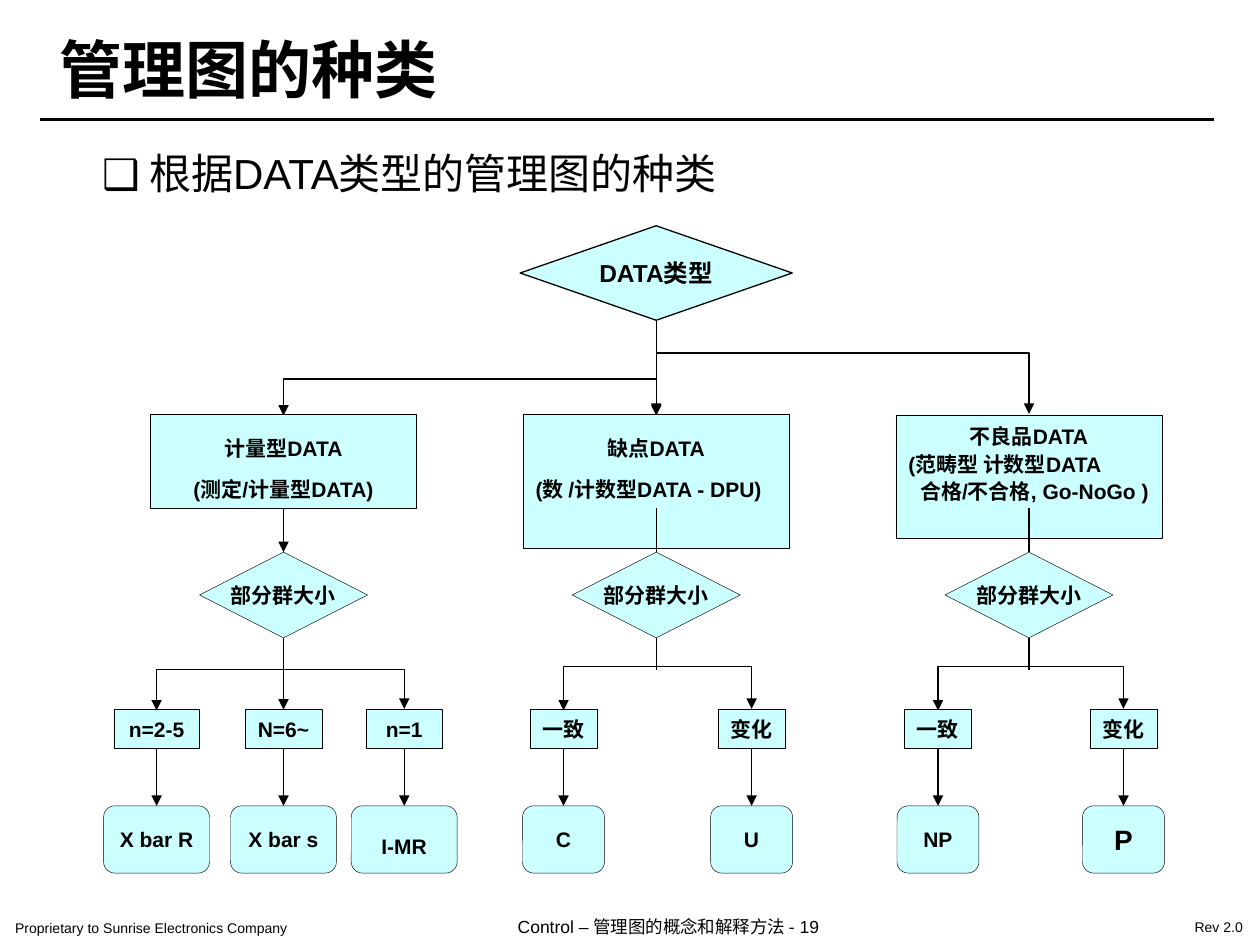
from collections import namedtuple

from lxml.etree import SubElement
from pptx import Presentation
from pptx.dml.color import RGBColor
from pptx.enum.shapes import MSO_CONNECTOR as Link, MSO_SHAPE as Shape
from pptx.enum.text import MSO_ANCHOR as Anchor, MSO_AUTO_SIZE as AutoSize, PP_ALIGN as Align
from pptx.oxml.ns import qn
from pptx.util import Pt

BLACK = RGBColor(0x00, 0x00, 0x00)
PALE_CYAN = RGBColor(0xCC, 0xFF, 0xFF)
FONT = "Arial"

Box = namedtuple("Box", "left top width height")
Leaf = namedtuple("Leaf", "offset condition condition_width chart size drop", defaults=(12, 0))


def centred_box(axis, top, width, height):
    return Box(axis - width / 2, top, width, height)


def set_frame(frame, anchor, wrap, inset_x=7.2, inset_y=3.6):
    frame.auto_size = AutoSize.NONE
    frame.word_wrap = wrap
    frame.vertical_anchor = anchor
    frame.margin_left = frame.margin_right = Pt(inset_x)
    frame.margin_top = frame.margin_bottom = Pt(inset_y)


def write(para, text, size, bold=False, align=Align.LEFT):
    para.alignment = align
    span = para.add_run()
    span.text = text
    font = span.font
    font.name, font.size, font.bold = FONT, Pt(size), bold
    font.color.rgb = BLACK


def add_node(page, kind, box, line_width=0.25, wrap=False):
    node = page.shapes.add_shape(kind, *map(Pt, box))
    node.shadow.inherit = False
    node.fill.solid()
    node.fill.fore_color.rgb = PALE_CYAN
    node.line.color.rgb = BLACK
    node.line.width = Pt(line_width)
    set_frame(node.text_frame, Anchor.MIDDLE, wrap)
    return node


def add_label_node(page, kind, box, text, size=12, line_width=0.25):
    node = add_node(page, kind, box, line_width)
    write(node.text_frame.paragraphs[0], text, size, True, Align.CENTER)
    return node


def style_link(link, width, arrow_ends):
    link.line.color.rgb = BLACK
    link.line.width = Pt(width)
    properties = link._element.spPr
    for end in arrow_ends:
        SubElement(properties.find(qn("a:ln")), qn(f"a:{end}"), type="triangle")
    SubElement(properties, qn("a:effectLst"))


def add_line(page, start, end, width=0.75, arrow=False):
    link = page.shapes.add_connector(Link.STRAIGHT, *map(Pt, start + end))
    style_link(link, width, ["tailEnd"] if arrow else [])


def add_bracket(page, left, right, base, rise):
    """Join two points on one level by a link that rises above them, with arrows down."""
    middle, half = (left + right) / 2, (right - left) / 2
    link = page.shapes.add_connector(
        Link.ELBOW, Pt(middle - 0.5), Pt(base - half), Pt(middle + 0.5), Pt(base + half))
    link.rotation = 90 if hasattr(link, "rotation") else None
    properties = link._element.spPr
    properties.find(qn("a:xfrm")).set("rot", "5400000")
    guides = properties.find(qn("a:prstGeom")).get_or_add_avLst()
    # The turned box is one point deep, so the guide is the rise in 1/100000 points.
    SubElement(guides, qn("a:gd"), name="adj1", fmla=f"val {round(-rise * 100000)}")
    style_link(link, 0.75, ["headEnd", "tailEnd"])


def fill_placeholder(holder, box, text, size, bold, align, anchor):
    holder.left, holder.top, holder.width, holder.height = map(Pt, box)
    set_frame(holder.text_frame, anchor, False)
    para = holder.text_frame.paragraphs[0]
    properties = para._p.get_or_add_pPr()
    properties.set("marL", "0")
    properties.set("indent", "0")
    SubElement(properties, qn("a:buNone"))
    para.space_before = Pt(0)
    write(para, text, size, bold, align)


def add_heading(page, box):
    fill_placeholder(page.shapes.title, Box(box.left + 3.6, box.top, 238, 50.4),
                     "管理图的种类", 36, True, Align.LEFT, Anchor.TOP)
    rule = box.top + 54.7
    add_line(page, (box.left, rule), (box.left + box.width, rule), 1.5)
    fill_placeholder(page.placeholders[1], Box(box.left + 20.2, box.top + 67, 381.6, 36),
                     "❑ 根据DATA类型的管理图的种类", 24, False, Align.CENTER, Anchor.MIDDLE)


def add_footer(page, box):
    for left, top, width, text, size in (
            (0, 2.2, 231, "Proprietary to Sunrise Electronics Company", 8),
            (287.3, 0, 230, "Control – 管理图的概念和解释方法 - 19", 10),
            (674, 1.4, 45.5, "Rev 2.0", 8)):
        label = page.shapes.add_textbox(
            Pt(box.left + left), Pt(box.top + top), Pt(width), Pt(box.height - top))
        set_frame(label.text_frame, Anchor.TOP, False, 8.6, 4.3)
        write(label.text_frame.paragraphs[0], text, size)


def add_data_box(page, box, lines, spacing):
    """Each line is a text, its alignment and its first-line indent."""
    node = add_node(page, Shape.RECTANGLE, box, wrap=True)
    frame = node.text_frame
    frame.vertical_anchor = Anchor.TOP
    for index, (text, align, indent) in enumerate(lines):
        para = frame.add_paragraph() if index else frame.paragraphs[0]
        para._p.get_or_add_pPr().set("indent", str(Pt(indent)))
        para.line_spacing = spacing
        write(para, text, 12, True, align)


def add_leaf(page, axis, top, leaf, chart_width):
    centre = axis + leaf.offset
    add_label_node(page, Shape.RECTANGLE,
                   centred_box(centre, top, leaf.condition_width, 21.9), leaf.condition)
    add_line(page, (centre, top + 22), (centre, top + 55), arrow=True)
    chart = add_label_node(page, Shape.ROUNDED_RECTANGLE,
                           centred_box(centre, top + 55, chart_width, 38.4), leaf.chart, leaf.size)
    chart.text_frame.margin_top = Pt(3.6 + leaf.drop)


def add_branch(page, box, data_height, lines, spacing, leaves, chart_width, through):
    """Draw one data type; with through, its stem runs on to a leaf below the axis."""
    axis = box.left + box.width / 2
    diamond, leaf_top = box.top + 78.5, box.top + 168.5
    add_data_box(page, Box(box.left, box.top, box.width, data_height), lines, spacing)
    add_line(page, (axis, box.top + 53.5), (axis, diamond), arrow=through)
    add_label_node(page, Shape.DIAMOND, centred_box(axis, diamond, 96, 49), "部分群大小")
    stem_end = leaf_top if through else leaf_top - 22.5
    add_line(page, (axis, diamond + 49), (axis, stem_end), arrow=through)
    add_bracket(page, axis + leaves[0].offset, axis + leaves[-1].offset, leaf_top,
                22.5 if through else 24.5)
    for leaf in leaves:
        add_leaf(page, axis, leaf_top, leaf, chart_width)


def add_tree(page, box):
    centre, step = box.left + box.width / 2, 213
    branch_top = box.top + 108
    add_label_node(page, Shape.DIAMOND, centred_box(centre, box.top, 155.5, 54),
                   "DATA类型", 14, 0.75)
    add_line(page, (centre, box.top + 54), (centre, branch_top))
    add_bracket(page, centre - step, centre, branch_top, 20)
    add_bracket(page, centre, centre + step, branch_top, 35)
    branches = (
        (53.3, [("计量型DATA", Align.CENTER, 0), ("(测定/计量型DATA)", Align.CENTER, 0)], 1.6,
         [Leaf(-72.5, "n=2-5", 49, "X bar R"), Leaf(0, "N=6~", 44, "X bar s"),
          Leaf(69, "n=1", 43.5, "I-MR", drop=8)], 60.5, True),
        (76.3, [("缺点DATA", Align.CENTER, 0), ("(数 /计数型DATA - DPU)", Align.LEFT, 0)], 1.6,
         [Leaf(-53, "一致", 38.2, "C"), Leaf(54.5, "变化", 38.2, "U")], 46.8, False),
        (70.6, [("不良品DATA", Align.CENTER, 0), ("(范畴型 计数型DATA", Align.LEFT, 0),
                ("合格/不合格, Go-NoGo )", Align.LEFT, 6.7)], 1.1,
         [Leaf(-52, "一致", 38.2, "NP"), Leaf(54, "变化", 38.2, "P", 16)], 46.8, False),
    )
    for index, branch in enumerate(branches):
        axis = centre + (index - 1) * step
        add_branch(page, centred_box(axis, branch_top, 152, 261), *branch)


def main():
    deck = Presentation()
    deck.slide_width, deck.slide_height = Pt(720), Pt(540)
    page = deck.slides.add_slide(deck.slide_layouts[1])
    add_footer(page, Box(0, 519.1, 720, 20.9))
    add_heading(page, Box(23, 13.7, 670.5, 104))
    add_tree(page, Box(59, 129, 632, 370))
    deck.save("out.pptx")


if __name__ == "__main__":
    main()
